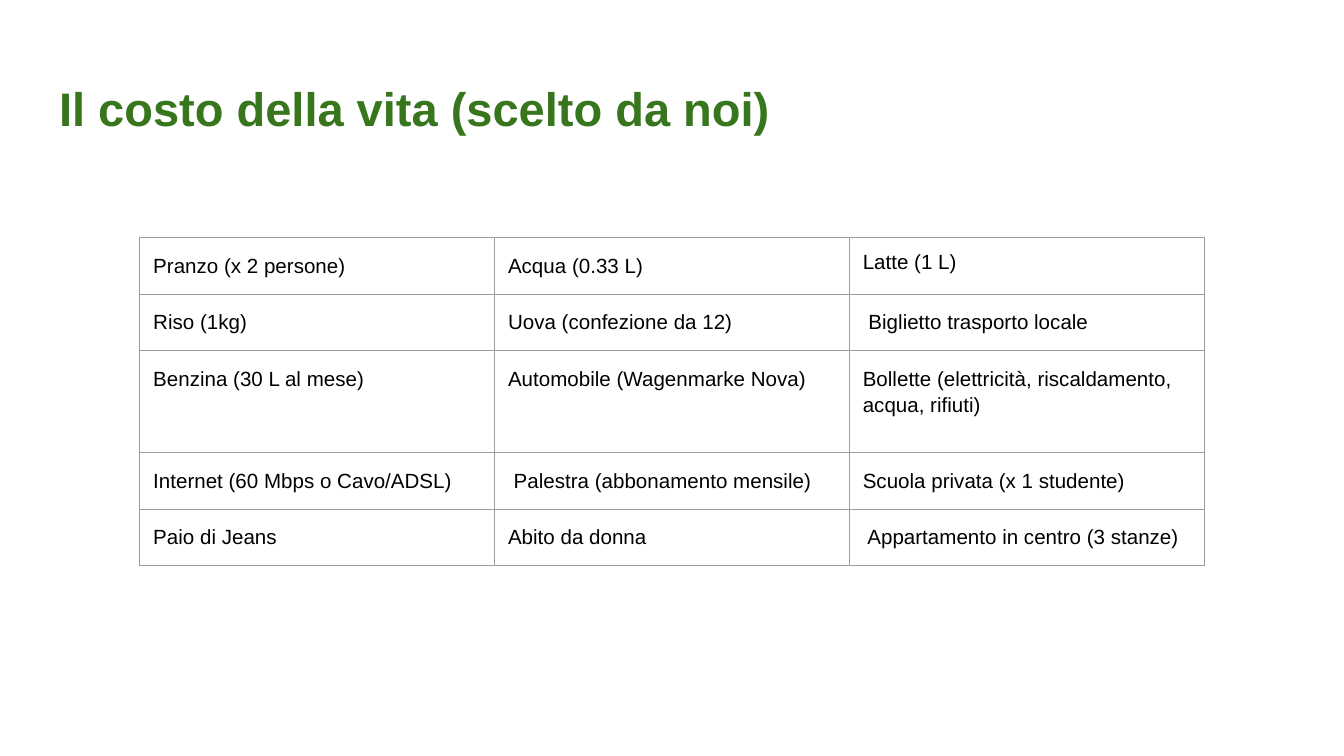
import pptx
import pptx.dml.color
import pptx.enum.text
import pptx.oxml
import pptx.oxml.ns
import pptx.util
from dataclasses import dataclass

Inches = pptx.util.Inches
Pt = pptx.util.Pt
RGBColor = pptx.dml.color.RGBColor


@dataclass(frozen=True)
class Theme:
    font: str = "Arial"
    heading: str = "38761D"
    ink: str = "000000"
    rule: str = "9E9E9E"
    heading_size: float = 25.2
    cell_size: float = 11
    rule_width: float = 0.75
    line_spacing: float = 1.15
    inset: float = 0.1


THEME = Theme()
HEADING = "Il costo della vita (scelto da noi)"
EXPENSES = [
    ("Pranzo (x 2 persone)", "Acqua (0.33 L)", "Latte (1 L)"),
    ("Riso (1kg)", "Uova (confezione da 12)", " Biglietto trasporto locale"),
    ("Benzina (30 L al mese)", "Automobile (Wagenmarke Nova)",
     "Bollette (elettricità, riscaldamento, acqua, rifiuti)"),
    ("Internet (60 Mbps o Cavo/ADSL)", " Palestra (abbonamento mensile)",
     "Scuola privata (x 1 studente)"),
    ("Paio di Jeans", "Abito da donna", " Appartamento in centro (3 stanze)"),
]
SINGLE_SPACED = "Latte (1 L)"
SLIDE_WIDTH = 10
SLIDE_HEIGHT = SLIDE_WIDTH * 9 / 16
HEADING_LEFT, HEADING_TOP, HEADING_HEIGHT = 0.34, 0.49, 0.63
TABLE_LEFT, TABLE_TOP = 1.04, 1.77
COLUMN_WIDTH = 2.64
ROW_HEIGHTS = [0.42, 0.42, 0.76, 0.42, 0.42]


def style_font(font, size, color, bold=False):
    font.name = THEME.font
    font.size = Pt(size)
    font.bold = bold
    font.color.rgb = RGBColor.from_string(color)


def set_insets(holder):
    holder.margin_left = holder.margin_right = Inches(THEME.inset)
    holder.margin_top = holder.margin_bottom = Inches(THEME.inset)


def add_borders(cell):
    properties = cell._tc.get_or_add_tcPr()
    for position, side in enumerate(("lnL", "lnR", "lnT", "lnB")):
        border = pptx.oxml.parse_xml(
            f'<a:{side} {pptx.oxml.ns.nsdecls("a")} w="{Pt(THEME.rule_width)}">'
            f'<a:solidFill><a:srgbClr val="{THEME.rule}"/></a:solidFill></a:{side}>'
        )
        properties.insert(position, border)


def add_heading(slide):
    heading = slide.shapes.title
    heading.left, heading.top = Inches(HEADING_LEFT), Inches(HEADING_TOP)
    heading.width = Inches(SLIDE_WIDTH - 2 * HEADING_LEFT)
    heading.height = Inches(HEADING_HEIGHT)
    frame = heading.text_frame
    frame.text = HEADING
    frame.word_wrap = True
    frame.auto_size = pptx.enum.text.MSO_AUTO_SIZE.NONE
    frame.vertical_anchor = pptx.enum.text.MSO_ANCHOR.TOP
    set_insets(frame)
    paragraph = frame.paragraphs[0]
    paragraph.alignment = pptx.enum.text.PP_ALIGN.LEFT
    style_font(paragraph.font, THEME.heading_size, THEME.heading, bold=True)


def fill_cell(cell, expense):
    cell.text = expense
    cell.fill.background()
    set_insets(cell)
    paragraph = cell.text_frame.paragraphs[0]
    paragraph.line_spacing = 1.0 if expense == SINGLE_SPACED else THEME.line_spacing
    style_font(paragraph.font, THEME.cell_size, THEME.ink)
    add_borders(cell)


def add_expenses(slide):
    column_count = len(EXPENSES[0])
    expenses = slide.shapes.add_table(
        len(EXPENSES), column_count, Inches(TABLE_LEFT), Inches(TABLE_TOP),
        Inches(COLUMN_WIDTH * column_count), Inches(sum(ROW_HEIGHTS)),
    ).table
    expenses.first_row = expenses.horz_banding = False
    for column in expenses.columns:
        column.width = Inches(COLUMN_WIDTH)
    for row, height, labels in zip(expenses.rows, ROW_HEIGHTS, EXPENSES):
        row.height = Inches(height)
        for cell, label in zip(row.cells, labels):
            fill_cell(cell, label)


def main():
    deck = pptx.Presentation()
    deck.slide_width, deck.slide_height = Inches(SLIDE_WIDTH), Inches(SLIDE_HEIGHT)
    slide = deck.slides.add_slide(deck.slide_layouts.get_by_name("Title Only"))
    add_heading(slide)
    add_expenses(slide)
    deck.save("out.pptx")


if __name__ == "__main__":
    main()
